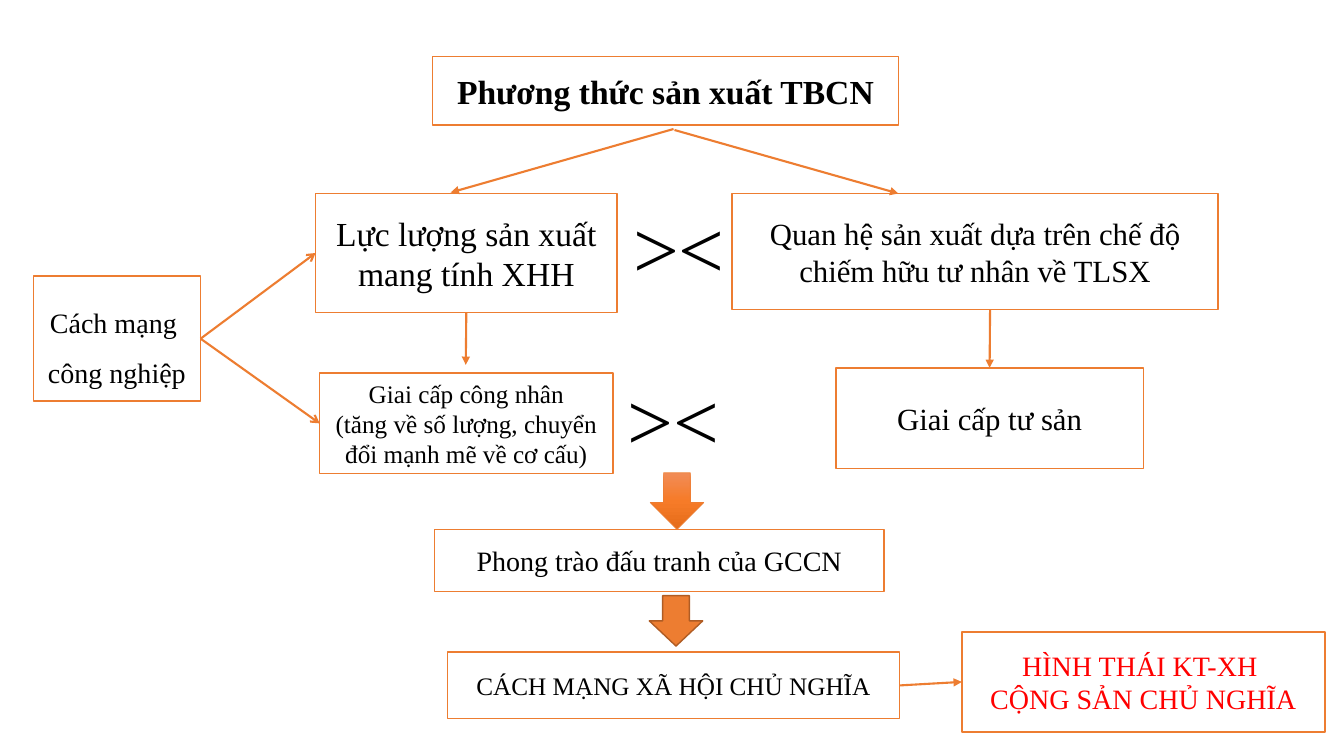
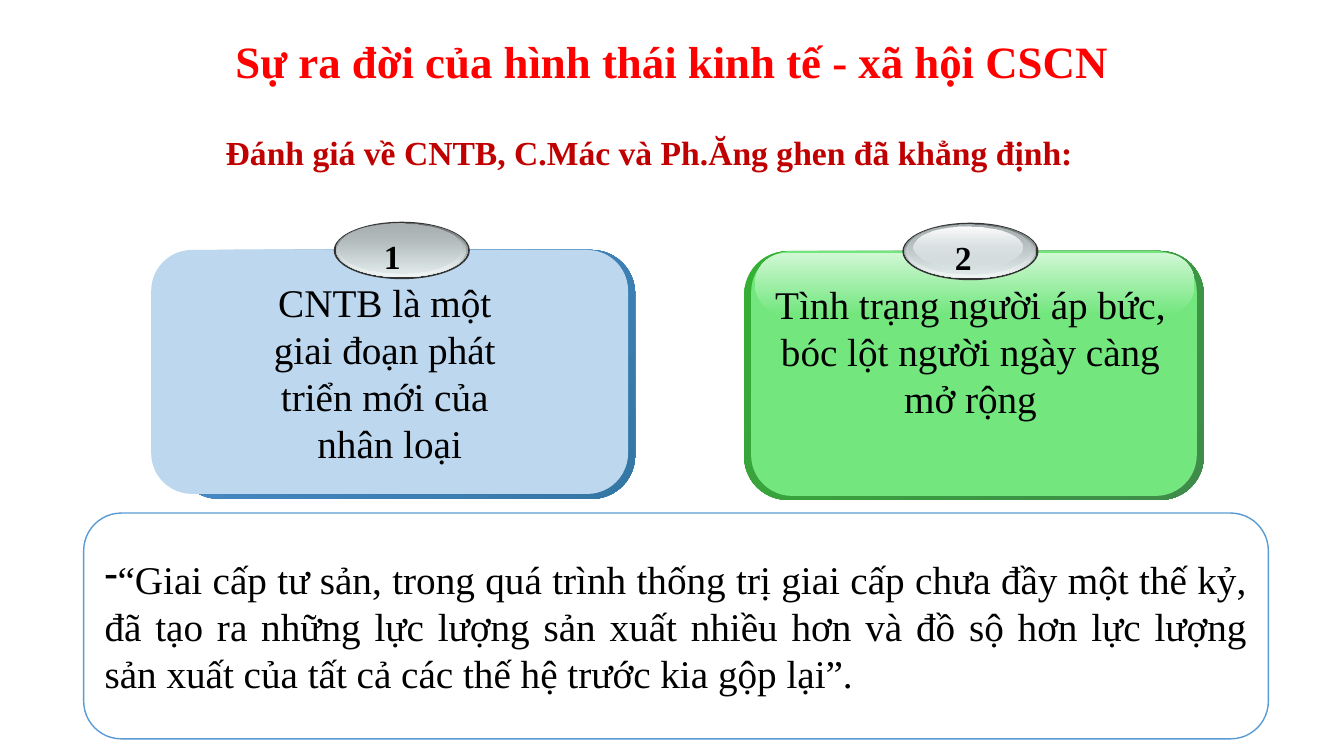
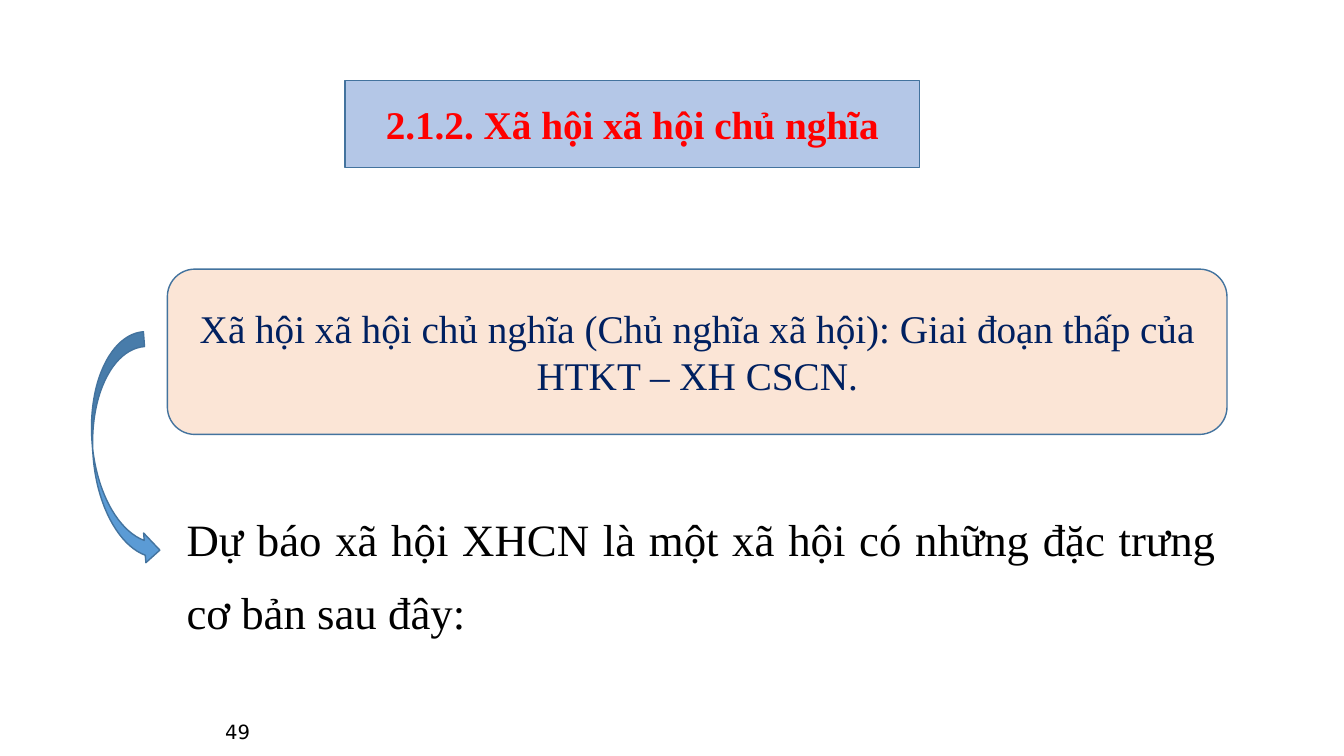
"""Three slides on the rise of the communist socio-economic formation."""
from dataclasses import dataclass

from pptx import Presentation
from pptx.dml.color import RGBColor
from pptx.enum.shapes import MSO_CONNECTOR, MSO_SHAPE
from pptx.enum.text import MSO_ANCHOR, MSO_AUTO_SIZE, PP_ALIGN
from pptx.oxml import parse_xml
from pptx.oxml.ns import nsdecls, qn
from pptx.util import Inches, Pt


@dataclass(frozen=True)
class Theme:
    font: str = "Times New Roman"
    number_font: str = "DejaVu Sans"
    black: str = "000000"
    white: str = "FFFFFF"
    red: str = "FF0000"
    dark_red: str = "C00000"
    navy: str = "002060"
    orange: str = "ED7D31"
    brown: str = "AF5C24"
    blue: str = "5B9BD5"
    steel: str = "43739E"
    pale_blue: str = "BDD7EE"
    lavender: str = "B4C7E7"
    peach: str = "FBE5D6"
    green: str = "73E77E"
    rim: str = "333333"
    number: int = 14
    small: int = 18
    normal: int = 20
    medium: int = 22
    large: int = 24
    body: int = 28
    heading: int = 32
    versus: int = 58


T = Theme()

MODE = ("Phương thức sản xuất TBCN", (4.29, 0.56, 4.62, 0.68))
STEPS = {
    "forces": (["Lực lượng sản xuất", "mang tính XHH"], (3.13, 1.92, 2.99, 1.18), {"size": T.large}),
    "relations": (["Quan hệ sản xuất dựa trên chế độ chiếm hữu tư nhân về TLSX"],
                  (7.26, 1.92, 4.82, 1.15), {"size": T.medium}),
    "workers": (["Giai cấp công nhân", "(tăng về số lượng, chuyển đổi mạnh mẽ về cơ cấu)"],
                (3.17, 3.7, 2.91, 1), {"size": T.small}),
    "bourgeoisie": (["Giai cấp tư sản"], (8.29, 3.65, 3.05, 1), {"size": T.medium}),
    "struggle": (["Phong trào đấu tranh của GCCN"], (4.31, 5.25, 4.46, 0.62), {"size": T.normal}),
    "formation": (["HÌNH THÁI KT-XH ", "CỘNG SẢN CHỦ NGHĨA"], (9.54, 6.27, 3.6, 0.99),
                  {"size": T.normal, "color": T.red}),
    "industry": (["Cách mạng ", "công nghiệp"], (0.33, 2.74, 1.66, 1.24),
                 {"size": T.normal, "line_spacing": 1.5}),
    "revolution": (["CÁCH MẠNG XÃ HỘI CHỦ NGHĨA"], (4.44, 6.47, 4.48, 0.66), {"size": T.small}),
}
BOTTOM, LEFT, RIGHT, TOP = 2, 1, 3, 0
ARROWS = [
    ((6.68, 1.28), (4.47, 1.91), "triangle"),
    ((6.69, 1.29), (8.91, 1.92), "triangle"),
    (("forces", BOTTOM), (4.62, 3.62), "triangle"),
    ((9.82, 3.07), ("bourgeoisie", TOP), "triangle"),
    (("revolution", RIGHT), ("formation", LEFT), "triangle"),
    (("industry", RIGHT), ("forces", LEFT), "arrow"),
    (("industry", RIGHT), ("workers", LEFT), "arrow"),
]
VERSUS = [(6.18, 1.91, 1.15, 1.08), (6.13, 3.61, 1.15, 1.08)]
DOWN_ARROWS = [
    ((6.45, 4.69, 0.53, 0.56), [(0, "F18C57"), (50, "F67B28"), (100, "E56C19")], T.orange, 0.5),
    ((6.44, 5.91, 0.53, 0.5), T.orange, T.brown, 1),
]

BIRTH = ("Sự ra đời của hình thái kinh tế - xã hội CSCN", (1.8, 0.28, 9.73, 0.64))
CLAIM = ("Đánh giá về CNTB, C.Mác và Ph.Ăng ghen đã khẳng định:", (2.14, 1.26, 9.45, 0.5))
QUOTE = ("“Giai cấp tư sản, trong quá trình thống trị giai cấp chưa đầy một thế kỷ, đã tạo ra những "
         "lực lượng sản xuất nhiều hơn và đồ sộ hơn lực lượng sản xuất của tất cả các thế hệ trước "
         "kia gộp lại”.", (0.83, 5.09, 11.75, 2.24))
BADGE_LAYERS = [
    ((0, 0, 1.35, 0.57), T.rim),
    ((0.02, 0.01, 1.31, 0.54), [(0, "636869"), (100, "D6E1E2")]),
    ((0.03, 0.02, 1.28, 0.52), [(0, "D6E1E2", 0), (100, "F1F5F5")]),
    ((0.05, 0.02, 1.22, 0.49), [(0, "AAB2B3"), (100, "D6E1E2", 48)]),
]
BADGE_SHINE = ((0.11, 0.04, 1.08, 0.4), [(0, T.white), (100, "D6E1E2", 38)])
CARDS = [
    {"number": "1", "number_box": (3.6, 2.29, 0.58, 0.5), "badge": (3.31, 2.2), "layers": BADGE_LAYERS,
     "panels": [((1.74, 2.48, 4.56, 2.47), [(0, "4E91D4"), (100, "3477A4")], 45, 0.175),
                ((1.5, 2.48, 4.73, 2.42), T.pale_blue, 0, 0.167)],
     "lines": ["CNTB là một ", "giai đoạn phát ", "triển mới của ", "nhân loại"],
     "text_box": (1.5, 2.48, 4.73, 2.42), "frame": {"vertical_anchor": MSO_ANCHOR.MIDDLE, "word_wrap": False}},
    {"number": "2", "number_box": (9.3, 2.3, 0.51, 0.51), "badge": (8.95, 2.21),
     "layers": BADGE_LAYERS + [BADGE_SHINE],
     "panels": [((7.38, 2.49, 4.56, 2.47), [(0, "34B034"), (100, "3F8B4A")], 45, 0.175),
                ((7.45, 2.49, 4.42, 2.43), T.green, 0, 0.167),
                ((7.49, 2.51, 4.36, 0.61), [(0, "D0F7D4"), (100, T.green)], 90, 0.5)],
     "lines": ["Tình trạng người áp bức, bóc lột người ngày càng mở rộng"],
     "text_box": (7.38, 2.73, 4.49, 1.99), "frame": {"vertical_anchor": MSO_ANCHOR.TOP}},
]

SOCIALISM = ("2.1.2. Xã hội xã hội chủ nghĩa", (3.42, 0.8, 5.7, 0.86))
DEFINITION = ("Xã hội xã hội chủ nghĩa (Chủ nghĩa xã hội): Giai đoạn thấp của HTKT – XH CSCN.",
              (1.66, 2.67, 10.51, 1.64))
FORECAST = ("Dự báo xã hội XHCN là một xã hội có những đặc trưng cơ bản sau đây:",
            (1.75, 4.84, 10.42, 1.48))
CURVED_ARROW = (0.92, 3.31, 0.59, 2.32)
PAGE_NUMBER = ("49", (1.75, 7.05, 0.83, 0.41))


def assign(target, values):
    for name, value in values.items():
        setattr(target, name, value)


def inches(box):
    return [Inches(length) for length in box]


def paint(shape, fill=None, line=None, width=1, angle=90):
    if isinstance(fill, list):
        stops = ""
        for position, color, *alpha in fill:
            opacity = "".join(f'<a:alpha val="{value * 1000}"/>' for value in alpha)
            stops += f'<a:gs pos="{position * 1000}"><a:srgbClr val="{color}">{opacity}</a:srgbClr></a:gs>'
        shape.fill.background()
        properties = shape.element.spPr
        properties.replace(properties.find(qn("a:noFill")), parse_xml(
            f'<a:gradFill {nsdecls("a")} rotWithShape="1"><a:gsLst>{stops}</a:gsLst>'
            f'<a:lin ang="{angle * 60000}" scaled="0"/></a:gradFill>'))
    elif fill:
        shape.fill.solid()
        shape.fill.fore_color.rgb = RGBColor.from_string(fill)
    if line:
        shape.line.color.rgb = RGBColor.from_string(line)
        shape.line.width = Pt(width)
    else:
        shape.line.fill.background()


def write(shape, lines, size, color=T.black, bold=False, font=T.font, align=PP_ALIGN.CENTER,
          line_spacing=1.0, bullet=None, frame=None):
    text = shape.text_frame
    assign(text, {"word_wrap": True, "auto_size": MSO_AUTO_SIZE.NONE,
                  "vertical_anchor": MSO_ANCHOR.MIDDLE, **(frame or {})})
    for index, line in enumerate(lines):
        paragraph = text.add_paragraph() if index else text.paragraphs[0]
        assign(paragraph, {"alignment": align, "line_spacing": line_spacing, "space_before": Pt(0)})
        properties = paragraph.element.get_or_add_pPr() if hasattr(paragraph, "element") \
            else paragraph._p.get_or_add_pPr()
        for side in ("marL", "indent"):
            properties.set(side, "0")
        mark = f'buChar {nsdecls("a")} char="{bullet}"' if bullet else f'buNone {nsdecls("a")}'
        properties.append(parse_xml(f"<a:{mark}/>"))
        run = paragraph.add_run()
        run.text = line
        assign(run.font, {"name": font, "size": Pt(size), "bold": bold})
        run.font.color.rgb = RGBColor.from_string(color)


def add_shape(parent, kind, box, fill=None, line=None, width=1, angle=90, corner=None):
    shape = parent.shapes.add_shape(kind, *inches(box))
    shape.shadow.inherit = False
    if corner:
        shape.adjustments[0] = corner
    paint(shape, fill, line, width, angle)
    return shape


def add_text(parent, lines, box, size, **style):
    style.setdefault("frame", {"vertical_anchor": MSO_ANCHOR.TOP})
    write(parent.shapes.add_textbox(*inches(box)), lines, size, **style)


def fill_placeholder(placeholder, content, size, **style):
    text, box = content
    assign(placeholder, dict(zip(("left", "top", "width", "height"), inches(box))))
    write(placeholder, [text], size, **style)


def add_arrow(slide, boxes, start, end, head):
    joined = [isinstance(place[0], str) for place in (start, end)]
    points = [(0, 0) if join else place for join, place in zip(joined, (start, end))]
    arrow = slide.shapes.add_connector(MSO_CONNECTOR.STRAIGHT, *inches(points[0] + points[1]))
    for join, place, connect in zip(joined, (start, end), (arrow.begin_connect, arrow.end_connect)):
        if join:
            connect(boxes[place[0]], place[1])
    arrow.line.color.rgb = RGBColor.from_string(T.orange)
    arrow.line.width = Pt(1.5)
    properties = arrow.element.spPr
    properties.find(qn("a:ln")).append(parse_xml(f'<a:tailEnd {nsdecls("a")} type="{head}"/>'))
    properties.append(parse_xml(f'<a:effectLst {nsdecls("a")}/>'))


def build_diagram(slide):
    fill_placeholder(slide.shapes.title, MODE, T.large, bold=True)
    paint(slide.shapes.title, T.white, T.orange)
    boxes = {}
    for name, (lines, box, style) in STEPS.items():
        kind = MSO_SHAPE.FLOWCHART_PROCESS if name == "formation" else MSO_SHAPE.RECTANGLE
        boxes[name] = add_shape(slide, kind, box, T.white, T.orange)
        write(boxes[name], lines, **style)
    for arrow in ARROWS:
        add_arrow(slide, boxes, *arrow)
    for box, fill, line, width in DOWN_ARROWS:
        add_shape(slide, MSO_SHAPE.DOWN_ARROW, box, fill, line, width)
    for box in VERSUS:
        add_text(slide, ["><"], box, T.versus, align=PP_ALIGN.LEFT)


def build_card(slide, card):
    group = slide.shapes.add_group_shape()
    for box, fill, angle, corner in card["panels"]:
        add_shape(group, MSO_SHAPE.ROUNDED_RECTANGLE, box, fill, angle=angle, corner=corner)
    left, top = card["badge"]
    for (x, y, width, height), fill in card["layers"]:
        add_shape(group, MSO_SHAPE.OVAL, (left + x, top + y, width, height), fill)
    add_text(group, [card["number"]], card["number_box"], T.large, bold=True,
             frame={"vertical_anchor": MSO_ANCHOR.TOP, "word_wrap": False})
    add_text(group, card["lines"], card["text_box"], T.body, frame=card["frame"])


def build_assessment(slide):
    fill_placeholder(slide.shapes.title, BIRTH, T.heading, color=T.red, bold=True)
    claim, box = CLAIM
    add_text(slide, [claim], box, T.large, color=T.dark_red, bold=True, align=PP_ALIGN.LEFT)
    for card in CARDS:
        build_card(slide, card)
    quote, box = QUOTE
    panel = add_shape(slide, MSO_SHAPE.ROUNDED_RECTANGLE, box, T.white, T.blue)
    write(panel, [quote], T.body, align=PP_ALIGN.JUSTIFY, bullet="-")


def build_socialism(slide):
    fill_placeholder(slide.shapes.title, SOCIALISM, T.body, color=T.red, bold=True)
    paint(slide.shapes.title, T.lavender, T.steel)
    fill_placeholder(slide.placeholders[1], FORECAST, T.heading, align=PP_ALIGN.JUSTIFY,
                     line_spacing=1.35, frame={"vertical_anchor": MSO_ANCHOR.TOP})
    definition, box = DEFINITION
    panel = add_shape(slide, MSO_SHAPE.ROUNDED_RECTANGLE, box, T.peach, T.steel)
    write(panel, [definition], T.body, color=T.navy)
    curve = add_shape(slide, MSO_SHAPE.CURVED_RIGHT_ARROW, CURVED_ARROW, T.blue, T.steel)
    curve.rotation = 355.7
    number, box = PAGE_NUMBER
    add_text(slide, [number], box, T.number, font=T.number_font, align=PP_ALIGN.RIGHT,
             frame={"vertical_anchor": MSO_ANCHOR.MIDDLE})


def main():
    deck = Presentation()
    assign(deck, {"slide_width": Inches(13.33), "slide_height": Inches(7.5)})
    title_only, title_and_body = deck.slide_layouts[5], deck.slide_layouts[1]
    for layout, build in ((title_only, build_diagram), (title_only, build_assessment),
                          (title_and_body, build_socialism)):
        build(deck.slides.add_slide(layout))
    deck.save("out.pptx")


if __name__ == "__main__":
    main()
